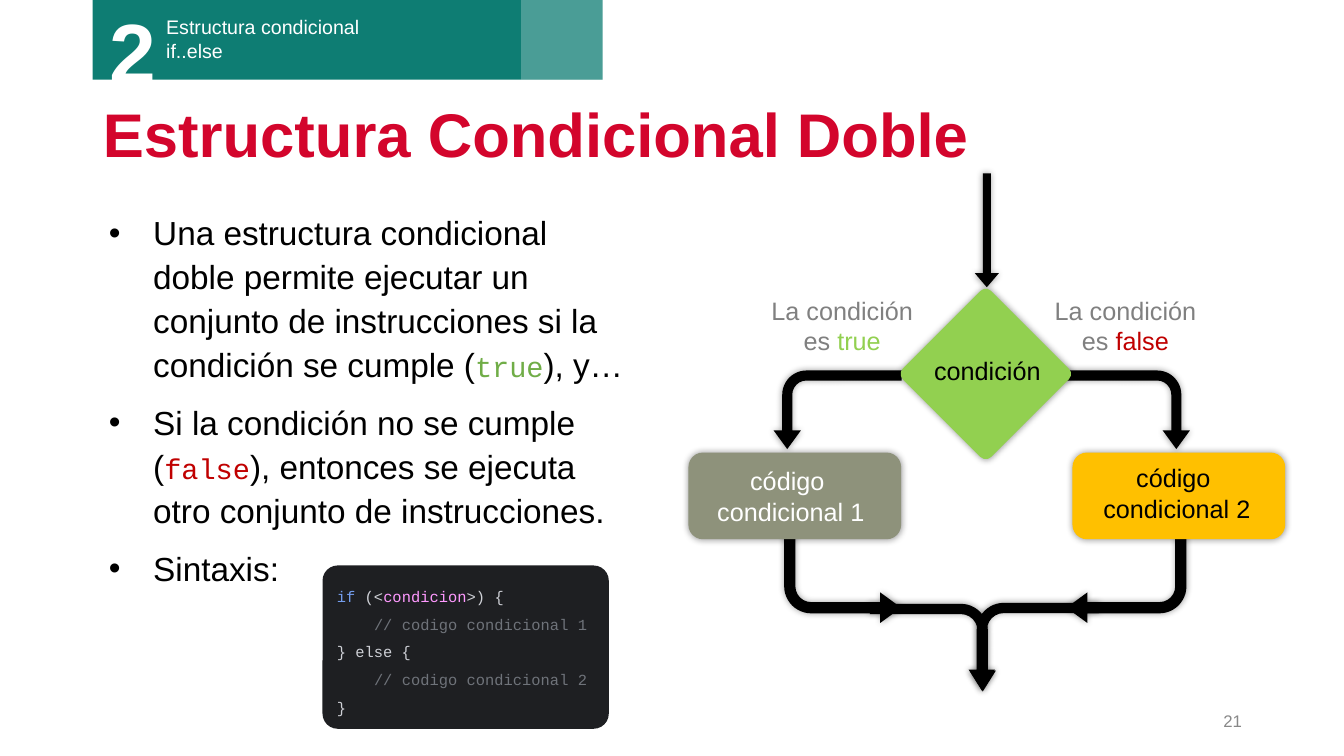
"""Build the slide on the double conditional structure, on a grid of 160 columns by 90 rows."""
from copy import deepcopy

from lxml.etree import SubElement
from pptx import Presentation
from pptx.dml.color import RGBColor
from pptx.enum.shapes import MSO_SHAPE
from pptx.enum.text import MSO_ANCHOR, MSO_AUTO_SIZE, PP_ALIGN
from pptx.oxml.ns import qn
from pptx.util import Inches, Pt

WHITE = RGBColor(0xFF, 0xFF, 0xFF)
BLACK = RGBColor(0x00, 0x00, 0x00)
TEAL = RGBColor(0x0E, 0x7D, 0x73)
CRIMSON = RGBColor(0xD3, 0x05, 0x2C)
GRAY = RGBColor(0x80, 0x80, 0x80)
NUMBER_GRAY = RGBColor(0x88, 0x88, 0x88)
LIME = RGBColor(0x92, 0xD0, 0x50)
GREEN = RGBColor(0x70, 0xAD, 0x47)
RED = RGBColor(0xC0, 0x00, 0x00)
AMBER = RGBColor(0xFF, 0xC0, 0x00)
OLIVE = RGBColor(0x8E, 0x92, 0x7B)
CODE_BACKGROUND = RGBColor(0x1E, 0x1F, 0x22)
CODE_TEXT = RGBColor(0xCE, 0xD0, 0xD6)
CODE_KEYWORD = RGBColor(0x74, 0x9D, 0xED)
CODE_NAME = RGBColor(0xFF, 0x99, 0xFF)
CODE_COMMENT = RGBColor(0x6F, 0x73, 0x7A)
SANS, MONO = "Arial", "Courier New"

presentation = Presentation()
presentation.slide_width = Inches(13.33)
presentation.slide_height = Inches(7.5)
COLUMN = presentation.slide_width / 160
ROW = presentation.slide_height / 90


def grid(left, top, width, height):
    """Turn columns and rows into slide lengths."""
    return round(left * COLUMN), round(top * ROW), round(width * COLUMN), round(height * ROW)


def write(paragraph, text, color, size, font=SANS, bold=False):
    """Add text as formatted runs, with a line break at each newline."""
    for index, line in enumerate(text.split("\n")):
        if index:
            paragraph.add_line_break()
            paragraph._p[-1].append(deepcopy(run._r.rPr))
        if line:
            run = paragraph.add_run()
            run.text = line
            run.font.name = font
            run.font.size = Pt(size)
            run.font.bold = bold
            run.font.color.rgb = color


slide = presentation.slides.add_slide(presentation.slide_layouts[1])

title = slide.shapes.title
title.left, title.top, title.width, title.height = grid(11.04, 11.16, 138, 10.32)
title.text_frame.auto_size = MSO_AUTO_SIZE.NONE
title.text_frame.vertical_anchor = MSO_ANCHOR.MIDDLE
title_paragraph = title.text_frame.paragraphs[0]
title_paragraph.alignment = PP_ALIGN.LEFT
title_paragraph.line_spacing = 0.9
write(title_paragraph, "Estructura Condicional Doble", CRIMSON, 44, bold=True)

body = slide.placeholders[1]
body.left, body.top, body.width, body.height = grid(11.04, 24.24, 65.76, 49.92)
body.text_frame.auto_size = MSO_AUTO_SIZE.NONE
body.text_frame.vertical_anchor = MSO_ANCHOR.TOP
bullets = [
    [("Una estructura condicional doble permite ejecutar un conjunto de instrucciones "
      "si la condición se cumple (", BLACK, 23.8, SANS),
     ("true", GREEN, 20.4, MONO), ("), y…", BLACK, 23.8, SANS)],
    [("Si la condición no se cumple (", BLACK, 23.8, SANS), ("false", RED, 20.4, MONO),
     ("), entonces se ejecuta otro conjunto de instrucciones.", BLACK, 23.8, SANS)],
    [("Sintaxis:", BLACK, 23.8, SANS)],
]
for index, runs in enumerate(bullets):
    paragraph = body.text_frame.add_paragraph() if index else body.text_frame.paragraphs[0]
    properties = paragraph._p.get_or_add_pPr()
    properties.set("marL", str(Inches(0.5)))
    properties.set("indent", str(-Inches(0.44)))
    bullet_color = SubElement(properties, qn("a:buClr"))
    SubElement(bullet_color, qn("a:srgbClr"), val=str(BLACK))
    SubElement(properties, qn("a:buFont"), typeface=SANS)
    SubElement(properties, qn("a:buChar"), char="•")
    paragraph.alignment = PP_ALIGN.LEFT
    paragraph.line_spacing = 1.1
    paragraph.space_before = Pt(10 if index else 0)
    for run_format in runs:
        write(paragraph, *run_format)

for cells, color in [((11.04, 0, 60.72, 9.48), TEAL), ((62.04, 0, 9.72, 9.48), WHITE)]:
    band = slide.shapes.add_shape(MSO_SHAPE.RECTANGLE, *grid(*cells))
    band.shadow.inherit = False
    band.fill.solid()
    band.fill.fore_color.rgb = color
    band.line.fill.background()
tint = band.fill._xPr.find(qn("a:solidFill"))[0]
SubElement(tint, qn("a:alpha"), val="25000")

BENT, ROUNDED = MSO_SHAPE.BENT_ARROW, MSO_SHAPE.ROUNDED_RECTANGLE
branch_bend = (0.128, 0.174, 0.238, 0.308)
exit_bend = (0.117, 0.15, 0.238, 0.308)
flow_shapes = [
    (MSO_SHAPE.DOWN_ARROW, (116.04, 20.64, 2.88, 13.56), BLACK, (0.333, 0.584), 0, ""),
    (BENT, (129.36, 41.16, 9.36, 15.24), BLACK, branch_bend, 90, ""),
    (BENT, (117.84, 69.24, 10.44, 15.48), BLACK, exit_bend, 90, "V"),
    (BENT, (126.96, 63.72, 14.28, 10.44), BLACK, branch_bend, 180, ""),
    (BENT, (95.04, 41.16, 9.36, 15.24), BLACK, branch_bend, 270, "H"),
    (ROUNDED, (109.92, 37.08, 14.88, 14.88), LIME, (0.061,), 315, ""),
    (BENT, (105.84, 69.6, 10.44, 15), BLACK, exit_bend, 270, "HV"),
    (BENT, (93.36, 63.72, 13.92, 10.44), BLACK, branch_bend, 180, "H"),
    (ROUNDED, (127.68, 53.88, 25.32, 10.32), AMBER, (0.167,), 0, ""),
    (ROUNDED, (81.96, 53.88, 25.32, 10.32), OLIVE, (0.167,), 0, ""),
]
for kind, cells, color, adjustments, rotation, flips in flow_shapes:
    shape = slide.shapes.add_shape(kind, *grid(*cells))
    for index, adjustment in enumerate(adjustments):
        shape.adjustments[index] = adjustment
    shape.rotation = rotation
    for axis in flips:
        shape._element.spPr.xfrm.set("flip" + axis, "1")
    shape.fill.solid()
    shape.fill.fore_color.rgb = color
    shape.line.fill.background()
    shape.shadow.inherit = False
    effects = shape._element.spPr.find(qn("a:effectLst"))
    shadow = SubElement(effects, qn("a:outerShdw"), blurRad=str(Pt(5)), algn="ctr", rotWithShape="0")
    shadow_color = SubElement(shadow, qn("a:srgbClr"), val=str(BLACK))
    SubElement(shadow_color, qn("a:alpha"), val="40000")

LEFT, CENTER, RIGHT = PP_ALIGN.LEFT, PP_ALIGN.CENTER, PP_ALIGN.RIGHT
labels = [
    ((18.6, 1.2, 33, 6.84), LEFT, True, [("Estructura condicional \nif..else", WHITE, 14)]),
    ((11.88, -0.6, 13.44, 13.32), LEFT, True, [("2", WHITE, 60, SANS, True)]),
    ((113.04, 83.4, 36, 4.8), RIGHT, True, [("21", NUMBER_GRAY, 12)]),
    ((90.24, 34.56, 20.04, 8.52), CENTER, True,
     [("La condición es ", GRAY, 18), ("true", LIME, 18)]),
    ((124.32, 34.56, 19.32, 8.52), CENTER, True,
     [("La condición es ", GRAY, 18), ("false", RED, 18)]),
    ((109.92, 41.76, 15.24, 4.8), CENTER, False, [("condición", BLACK, 18)]),
    ((130.08, 54.48, 20.04, 8.52), CENTER, False, [("código \ncondicional 2", BLACK, 18)]),
    ((84.12, 54.84, 20.04, 8.52), CENTER, False, [("código \ncondicional 1", WHITE, 18)]),
]
for cells, alignment, wraps, runs in labels:
    label = slide.shapes.add_textbox(*grid(*cells))
    label.text_frame.word_wrap = wraps
    if alignment == RIGHT:
        label.text_frame.vertical_anchor = MSO_ANCHOR.MIDDLE
    paragraph = label.text_frame.paragraphs[0]
    paragraph.alignment = alignment
    for run_format in runs:
        write(paragraph, *run_format)

code_panel = slide.shapes.add_shape(ROUNDED, *grid(38.4, 67.32, 34.08, 19.44))
code_panel.adjustments[0] = 0.093
code_panel.shadow.inherit = False
code_panel.fill.solid()
code_panel.fill.fore_color.rgb = CODE_BACKGROUND
code_panel.line.fill.background()
code_panel.text_frame.word_wrap = False
code_panel.text_frame.vertical_anchor = MSO_ANCHOR.MIDDLE
code_paragraph = code_panel.text_frame.paragraphs[0]
code_paragraph.alignment = LEFT
code_paragraph.line_spacing = 1.5
for text, color in [
    ("if ", CODE_KEYWORD), ("(<", CODE_TEXT), ("condicion", CODE_NAME), (">) {\n    ", CODE_TEXT),
    ("// codigo condicional 1\n", CODE_COMMENT), ("} else {\n    ", CODE_TEXT),
    ("// codigo condicional 2\n", CODE_COMMENT), ("}", CODE_TEXT),
]:
    write(code_paragraph, text, color, 11, MONO)

presentation.save("out.pptx")
